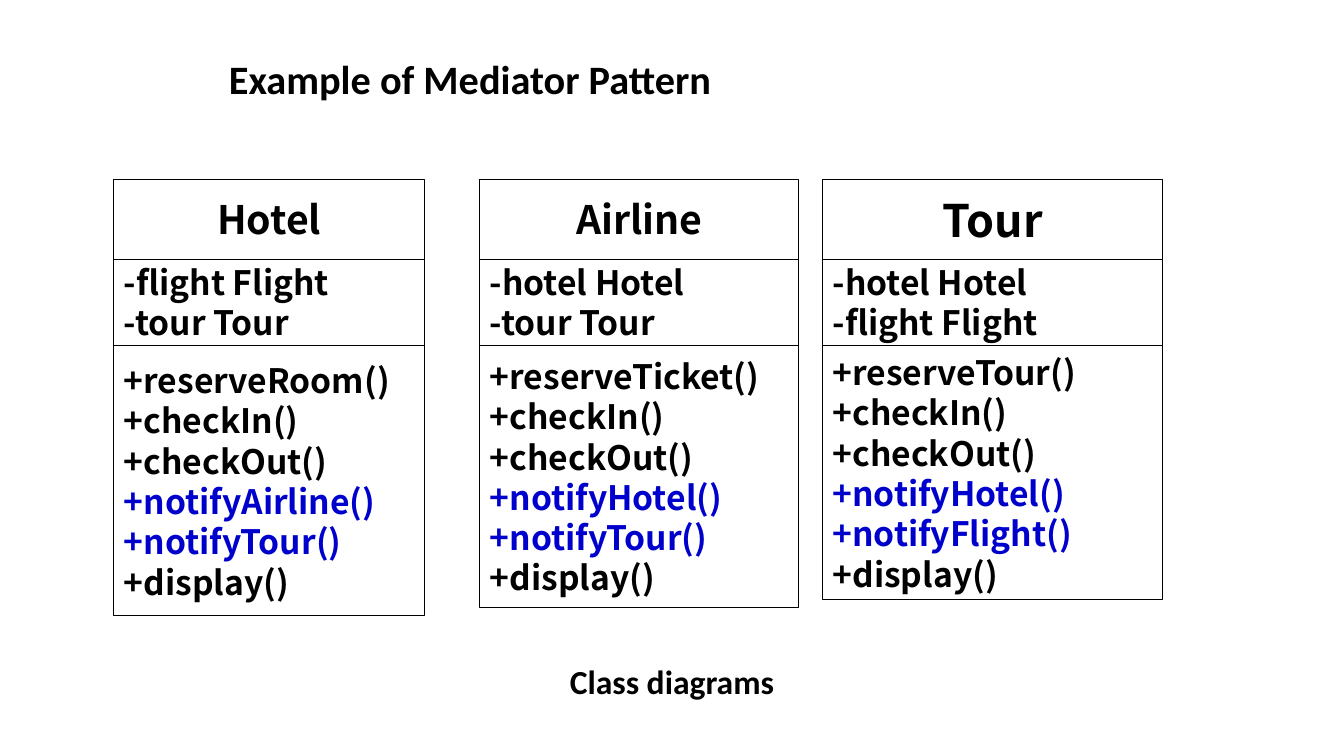
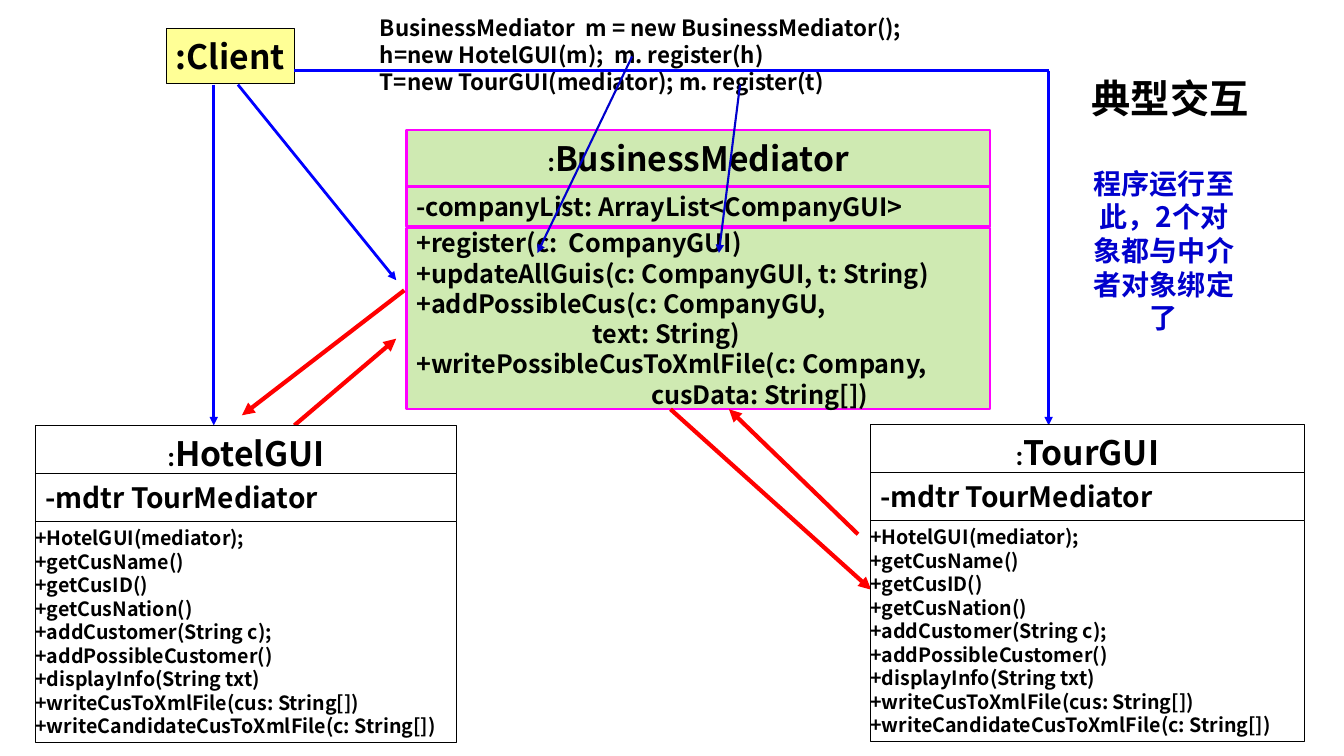
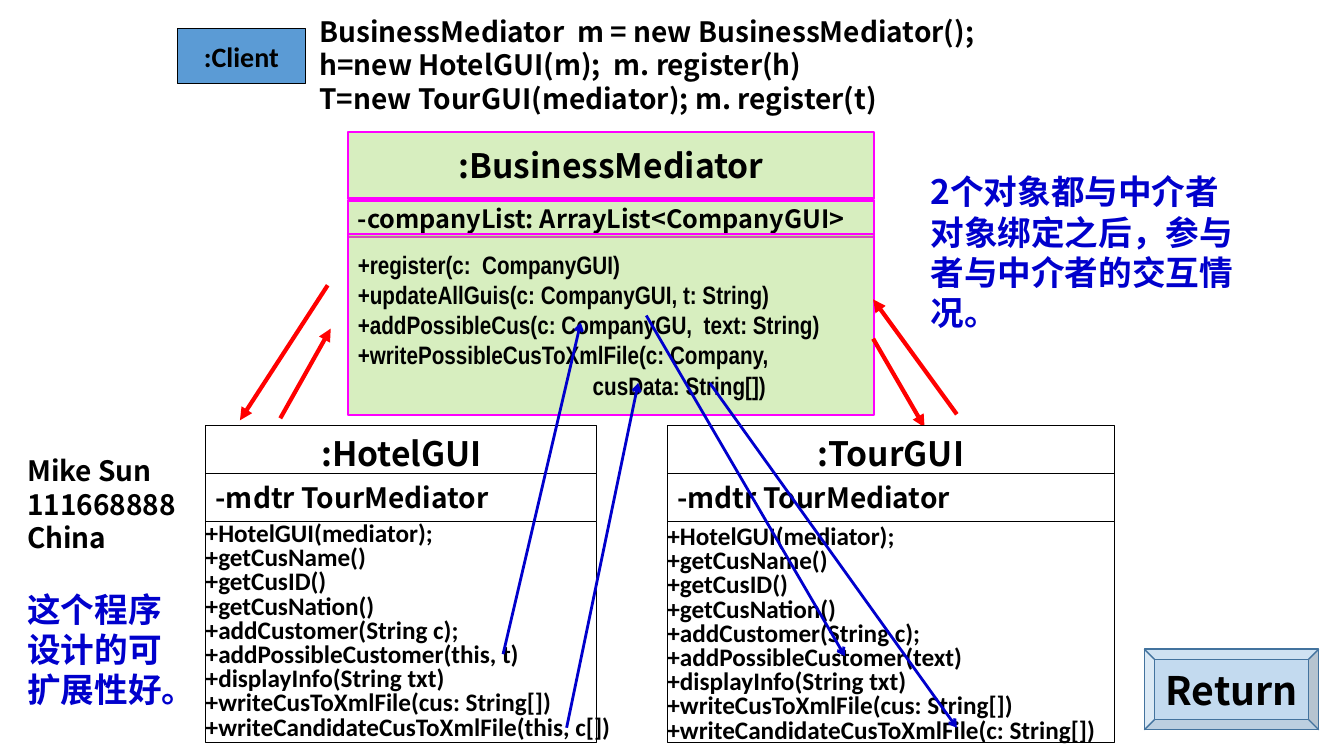
from dataclasses import dataclass, replace
from typing import Optional, Sequence

import lxml.etree
import pptx
import pptx.dml.color
import pptx.enum.shapes
import pptx.enum.text
import pptx.oxml.ns
import pptx.util

Inches = pptx.util.Inches
Pt = pptx.util.Pt
qn = pptx.oxml.ns.qn
PresetShape = pptx.enum.shapes.MSO_SHAPE
Align = pptx.enum.text.PP_ALIGN
Anchor = pptx.enum.text.MSO_ANCHOR

SANS, CALIBRI, NARROW = "Noto Sans CJK SC", "Calibri", "Arial Narrow"
BLACK, WHITE, NAVY = "000000", "FFFFFF", "0000CC"
BLUE, RED, MAGENTA = "0000FF", "FF0000", "FF00FF"
GREEN, YELLOW, STEEL, STEEL_EDGE = "92D050", "FFFF00", "5B9BD5", "43739E"
TITLE_ONLY, BLANK = 5, 6


@dataclass(frozen=True)
class Style:
    size: float
    font: str = SANS
    color: str = BLACK
    align: Align = Align.LEFT
    spacing: Optional[float] = None


@dataclass(frozen=True)
class Row:
    """One paragraph; marker is a small lead-in, color and spacing override the style."""
    text: str
    color: Optional[str] = None
    indent: float = 0
    marker: str = ""
    spacing: Optional[float] = None


@dataclass(frozen=True)
class Paint:
    fill: str = WHITE
    edge: str = BLACK
    edge_width: float = 0.75
    opacity: int = 100


@dataclass(frozen=True)
class Section:
    top: float
    height: float
    rows: Sequence[Row]
    style: Style
    side_inset: float = 0.1


@dataclass(frozen=True)
class ClassBox:
    left: float
    width: float
    sections: Sequence[Section]
    paint: Paint = Paint()


@dataclass(frozen=True)
class ArrowStyle:
    color: str
    width: float
    tip: Optional[str] = "triangle"


PLAIN = Paint()
HEADING = Style(24, align=Align.CENTER)
MARKER = Style(20, CALIBRI)
ATTRIBUTE = Style(20)
MESSAGE = ArrowStyle(RED, 3)
CREATION = ArrowStyle(BLUE, 2)
SETUP_CODE = ("BusinessMediator  m = new BusinessMediator();",
              "h=new HotelGUI(m);  m. register(h)",
              "T=new TourGUI(mediator); m. register(t)")


def rgb(hex_color: str) -> pptx.dml.color.RGBColor:
    return pptx.dml.color.RGBColor.from_string(hex_color)


def rows_of(*texts: str) -> list[Row]:
    return [Row(text) for text in texts]


def format_run(run, style: Style, color: str) -> None:
    run.font.size = Pt(style.size)
    run.font.bold = True
    run.font.name = style.font
    run.font.color.rgb = rgb(color)
    east_asian = lxml.etree.SubElement(run.font._element, qn("a:ea"))
    east_asian.set("typeface", style.font)


def write(frame, rows: Sequence[Row], style: Style) -> None:
    for number, row in enumerate(rows):
        paragraph = frame.paragraphs[0] if number == 0 else frame.add_paragraph()
        paragraph.text = row.marker or row.text
        if row.marker:
            format_run(paragraph.runs[0], MARKER, style.color)
            paragraph.add_run().text = row.text
        format_run(paragraph.runs[-1], style, row.color or style.color)
        paragraph.alignment = style.align
        spacing = row.spacing or style.spacing
        if spacing:
            paragraph.line_spacing = spacing
        if row.indent:
            properties = paragraph._p.get_or_add_pPr()
            properties.set("marL", str(Inches(row.indent)))
            properties.set("indent", "0")


def add_panel(slide, left: float, section: Section, width: float, paint: Paint,
              preset=PresetShape.RECTANGLE) -> None:
    panel = slide.shapes.add_shape(preset, Inches(left), Inches(section.top),
                                   Inches(width), Inches(section.height))
    panel.shadow.inherit = False
    panel.fill.solid()
    panel.fill.fore_color.rgb = rgb(paint.fill)
    if paint.opacity < 100:
        color = panel._element.spPr.find(qn("a:solidFill"))[0]
        lxml.etree.SubElement(color, qn("a:alpha")).set("val", str(paint.opacity * 1000))
    panel.line.color.rgb = rgb(paint.edge)
    panel.line.width = Pt(paint.edge_width)
    frame = panel.text_frame
    frame.word_wrap = False
    frame.vertical_anchor = Anchor.MIDDLE
    frame.margin_left = frame.margin_right = Inches(section.side_inset)
    write(frame, section.rows, section.style)


def add_class(slide, box: ClassBox) -> None:
    for section in box.sections:
        add_panel(slide, box.left, section, box.width, box.paint)


def add_note(slide, left: float, top: float, width: float, height: float,
             rows: Sequence[Row], style: Style, side_inset: float = 0.1) -> None:
    note = slide.shapes.add_textbox(Inches(left), Inches(top), Inches(width), Inches(height))
    note.text_frame.word_wrap = True
    note.text_frame.margin_left = note.text_frame.margin_right = Inches(side_inset)
    write(note.text_frame, rows, style)


def set_title(slide, left: float, top: float, width: float, height: float,
              text: str, style: Style) -> None:
    title = slide.shapes.title
    title.left, title.top = Inches(left), Inches(top)
    title.width, title.height = Inches(width), Inches(height)
    title.text_frame.auto_size = pptx.enum.text.MSO_AUTO_SIZE.NONE
    title.text_frame.vertical_anchor = Anchor.MIDDLE
    write(title.text_frame, [Row(text)], style)


def add_arrows(slide, style: ArrowStyle, *routes: tuple[float, float, float, float]) -> None:
    """Draw one line per route (from x, from y, to x, to y)."""
    for route in routes:
        arrow = slide.shapes.add_connector(pptx.enum.shapes.MSO_CONNECTOR.STRAIGHT,
                                           *(Inches(value) for value in route))
        arrow.line.color.rgb = rgb(style.color)
        arrow.line.width = Pt(style.width)
        if style.tip:
            line = arrow.line._get_or_add_ln()
            lxml.etree.SubElement(line, qn("a:tailEnd")).set("type", style.tip)
        lxml.etree.SubElement(arrow._element.spPr, qn("a:effectLst"))


def gui_members(possible: str, candidate: str) -> list[Row]:
    return rows_of("+HotelGUI(mediator);", "+getCusName()", "+getCusID()",
                   "+getCusNation()", "+addCustomer(String c);",
                   f"+addPossibleCustomer({possible})", "+displayInfo(String txt)",
                   "+writeCusToXmlFile(cus: String[])",
                   f"+writeCandidateCusToXmlFile({candidate})")


def gui_class(left: float, top: float, width: float, heading: Row,
              members: Sequence[Row], member_style: Style) -> ClassBox:
    return ClassBox(left, width, (
        Section(top, 0.55, [heading], HEADING),
        Section(top + 0.48, 0.47, rows_of("-mdtr TourMediator"), ATTRIBUTE),
        Section(top + 0.95, 2.2, members, member_style, side_inset=0)))


def build_class_diagrams(deck) -> None:
    slide = deck.slides.add_slide(deck.slide_layouts[TITLE_ONLY])
    set_title(slide, 2.17, 0.54, 9, 0.54, "Example of Mediator Pattern",
              Style(28.8, CALIBRI, spacing=0.9))
    body = Style(24)
    companies = (
        (1.13, 3.08, 2.68, "Hotel", 28, ("flight Flight", "tour Tour"),
         "Room", ("Airline", "Tour")),
        (4.76, 3.16, 2.6, "Airline", 28, ("hotel Hotel", "tour Tour"),
         "Ticket", ("Hotel", "Tour")),
        (8.16, 3.37, 2.52, "Tour", 32, ("hotel Hotel", "flight Flight"),
         "Tour", ("Hotel", "Flight")),
    )
    for left, width, height, name, size, fields, reserved, notified in companies:
        operations = [
            *rows_of(f"+reserve{reserved}()", "+checkIn()", "+checkOut()"),
            *(Row(f"+notify{other}()", NAVY) for other in notified),
            Row("+display()")]
        add_class(slide, ClassBox(left, width, (
            Section(1.78, 0.79, [Row(name)], replace(HEADING, size=size)),
            Section(2.57, 0.86, rows_of(*(f"-{field}" for field in fields)), body),
            Section(3.43, height, operations, body))))
    add_note(slide, 2.65, 6.51, 8.03, 0.5, rows_of("Class diagrams"),
             Style(24, CALIBRI, align=Align.CENTER))


def build_typical_interaction(deck) -> None:
    slide = deck.slides.add_slide(deck.slide_layouts[TITLE_ONLY])
    set_title(slide, 10.66, 0.69, 1.89, 0.57, "典型交互", Style(28, align=Align.CENTER))
    operations = [
        *rows_of("+register(c:  CompanyGUI)",
                 "+updateAllGuis(c: CompanyGUI, t: String)",
                 "+addPossibleCus(c: CompanyGU,"),
        Row("text: String)", indent=1.75),
        Row("+writePossibleCusToXmlFile(c: Company,"),
        Row("cusData: String[])", indent=2.33)]
    add_class(slide, ClassBox(4.03, 5.79, (
        Section(1.29, 0.56, [Row("BusinessMediator", marker=":")], HEADING),
        Section(1.85, 0.4, rows_of("-companyList: ArrayList<CompanyGUI>"), Style(18)),
        Section(2.26, 1.8, operations, Style(18))),
        Paint(GREEN, MAGENTA, 1.75, 44)))
    add_arrows(slide, MESSAGE, (4.01, 2.88, 2.4, 4.12), (2.92, 4.22, 3.93, 3.36),
               (6.65, 4.06, 8.64, 5.85), (8.51, 5.3, 7.23, 4.06))
    add_panel(slide, 1.65, Section(0.28, 0.55, rows_of(":Client"), HEADING), 1.27,
              Paint(YELLOW, opacity=41))
    add_note(slide, 3.67, 0.09, 5.95, 0.94, rows_of(*SETUP_CODE), Style(16))
    add_arrows(slide, replace(CREATION, tip=None), (2.92, 0.7, 10.4, 0.7))
    add_arrows(slide, CREATION, (2.36, 0.84, 3.93, 2.78), (2.12, 0.84, 2.12, 4.22),
               (10.4, 0.7, 10.4, 4.22))
    add_note(slide, 10.68, 1.6, 1.73, 1.78,
             rows_of("程序运行至此，2个对象都与中介者对象绑定了"),
             Style(20, color=NAVY, align=Align.CENTER))
    for left, top, width, name in ((0.35, 4.22, 4.18, "HotelGUI"),
                                   (8.63, 4.21, 4.31, "TourGUI")):
        add_class(slide, gui_class(left, top, width, Row(name, marker=":"),
                                   gui_members("", "c: String[]"), Style(14)))
    add_arrows(slide, ArrowStyle(NAVY, 1.5), (6.27, 0.56, 5.33, 2.51),
               (7.34, 0.84, 7.13, 2.51))


def build_bound_interaction(deck) -> None:
    slide = deck.slides.add_slide(deck.slide_layouts[BLANK])
    operations = [
        *rows_of("+register(c:  CompanyGUI)",
                 "+updateAllGuis(c: CompanyGUI, t: String)",
                 "+addPossibleCus(c: CompanyGU,  text: String)",
                 "+writePossibleCusToXmlFile(c: Company,"),
        Row("cusData: String[])", indent=2.33)]
    add_class(slide, ClassBox(3.45, 5.22, (
        Section(1.31, 0.66, rows_of(":BusinessMediator"), HEADING),
        Section(1.99, 0.36, rows_of("-companyList: ArrayList<CompanyGUI>"), Style(18)),
        Section(2.32, 1.8, operations, Style(18, NARROW))),
        Paint(GREEN, MAGENTA, 1.75, 36)))
    add_arrows(slide, MESSAGE, (3.25, 2.83, 2.38, 4.17), (2.78, 4.15, 3.28, 3.26),
               (8.66, 3.36, 9.17, 4.24), (9.49, 4.11, 8.66, 2.97))
    add_note(slide, 9.13, 1.65, 3.38, 1.72,
             rows_of("2个对象都与中介者对象绑定之后，参与者与中介者的交互情况。"),
             Style(24, color=NAVY))
    add_panel(slide, 1.76, Section(0.28, 0.55, rows_of(":Client"),
                                   Style(20, CALIBRI, align=Align.CENTER)),
              1.27, Paint(STEEL))
    add_note(slide, 3.07, 0.09, 7.5, 1.11, rows_of(*SETUP_CODE), Style(20))

    member_style = Style(18, CALIBRI, spacing=0.8)
    hotel_members = gui_members("this, t", "this, c[]")
    tour_members = gui_members("text", "c: String[]")
    tour_members[0] = replace(tour_members[0], spacing=1.0)
    add_class(slide, gui_class(2.04, 4.22, 3.88, Row(":HotelGUI"),
                               hotel_members, member_style))
    add_class(slide, gui_class(6.62, 4.22, 4.43, Row(":TourGUI"),
                               tour_members, member_style))

    add_note(slide, 0.17, 4.45, 2.12, 1.11, rows_of("Mike Sun", "111668888", "China"),
             Style(20))
    add_arrows(slide, ArrowStyle(NAVY, 2, "arrow"), (4.99, 6.49, 5.76, 3.2),
               (6.41, 3.13, 8.38, 6.51), (5.62, 7.22, 6.33, 3.8), (7.04, 3.8, 9.49, 7.22))
    add_note(slide, 0.27, 5.79, 1.93, 1.31, rows_of("这个程序", "设计的可", "扩展性好。"),
             Style(24, color=NAVY), side_inset=0)
    add_panel(slide, 11.35, Section(6.44, 0.8, rows_of("Return"), replace(HEADING, size=28)),
              1.73, Paint(STEEL, STEEL_EDGE, 1, 36), PresetShape.BEVEL)


def main() -> None:
    deck = pptx.Presentation()
    deck.slide_width, deck.slide_height = Inches(13.33), Inches(7.5)
    build_class_diagrams(deck)
    build_typical_interaction(deck)
    build_bound_interaction(deck)
    deck.save("out.pptx")


if __name__ == "__main__":
    main()
